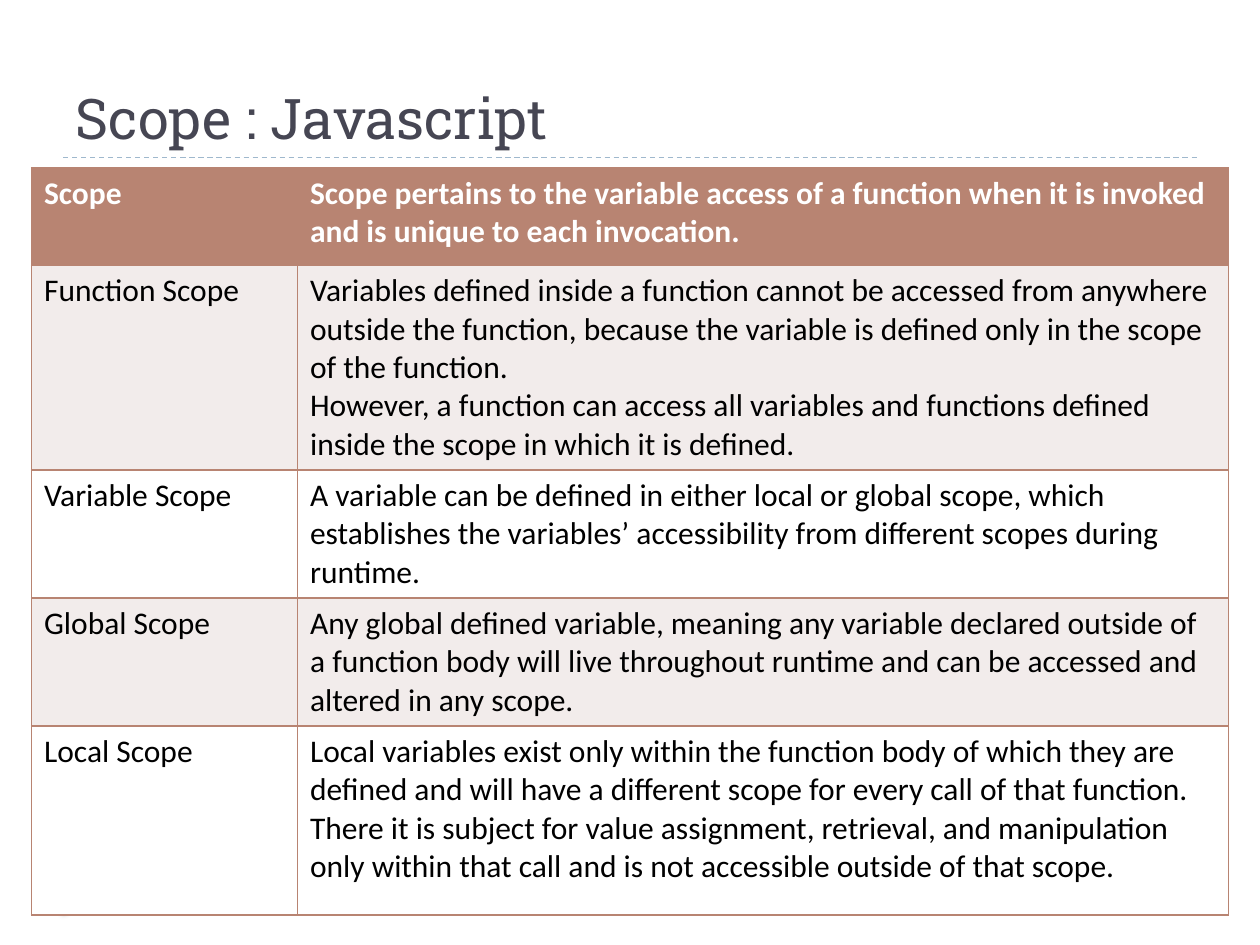
from lxml import etree
from pptx import Presentation
from pptx.dml.color import RGBColor
from pptx.enum.dml import MSO_LINE
from pptx.enum.shapes import MSO_CONNECTOR, MSO_SHAPE
from pptx.enum.text import MSO_ANCHOR, MSO_AUTO_SIZE, PP_ALIGN
from pptx.oxml.ns import qn
from pptx.util import Pt

LEFT, BASE, NONE = PP_ALIGN.LEFT, MSO_ANCHOR.BOTTOM, MSO_AUTO_SIZE.NONE
DASH, LINE = MSO_LINE.DASH, MSO_CONNECTOR.STRAIGHT
WEDGE = MSO_SHAPE.ISOSCELES_TRIANGLE

HUES = {"title": "464653", "rule": "9FB8CD", "head": "B88472",
        "band": "F2ECEB", "plain": "FFFFFF", "text": "000000"}
ROWS = [
    ("Scope", "Scope pertains to the variable access of a function when it is "
     "invoked and is unique to each invocation."),
    ("Function Scope", "Variables defined inside a function cannot be accessed from "
     "anywhere outside the function, because the variable is defined only in the "
     "scope of the function.\nHowever, a function can access all variables and "
     "functions defined inside the scope in which it is defined."),
    ("Variable Scope", "A variable can be defined in either local or global scope, "
     "which establishes the variables’ accessibility from different scopes during "
     "runtime."),
    ("Global Scope", "Any global defined variable, meaning any variable declared "
     "outside of a function body will live throughout runtime and can be accessed "
     "and altered in any scope."),
    ("Local Scope", "Local variables exist only within the function body of which "
     "they are defined and will have a different scope for every call of that "
     "function. There it is subject for value assignment, retrieval, and "
     "manipulation only within that call and is not accessible outside of that "
     "scope."),
]
WIDTHS = [152, 532]
HEIGHTS = [55.6, 108, 67.6, 67.6, 108]


def style(font, hue, form):
    font.color.rgb = RGBColor.from_string(HUES[hue])
    for key, val in form.items():
        setattr(font, key, val)


def edge(cell):
    props = cell._tc.get_or_add_tcPr()
    for spot, side in enumerate(("lnL", "lnR", "lnT", "lnB")):
        line = etree.Element(qn(f"a:{side}"), w=str(Pt(0.96)))
        fill = etree.SubElement(line, qn("a:solidFill"))
        etree.SubElement(fill, qn("a:srgbClr"), val=HUES["head"])
        props.insert(spot, line)


deck = Presentation()
deck.slide_width, deck.slide_height = Pt(720), Pt(540)
slide = deck.slides.add_slide(deck.slide_layouts[5])

for y in (500.4, 90):
    rule = slide.shapes.add_connector(LINE, Pt(36), Pt(y), Pt(684), Pt(y))
    rule.line.color.rgb = RGBColor.from_string(HUES["rule"])
    rule.line.width = Pt(0.75)
    rule.line.dash_style = DASH
    etree.SubElement(rule._element.spPr, qn("a:effectLst"))

mark = slide.shapes.add_shape(WEDGE, Pt(33.1), Pt(509), Pt(15), Pt(9.5))
mark.rotation = 90
mark.fill.solid()
mark.fill.fore_color.rgb = RGBColor.from_string(HUES["rule"])
mark.line.fill.background()
mark.shadow.inherit = False
glow = etree.SubElement(mark._element.spPr.find(qn("a:effectLst")),
                        qn("a:outerShdw"), blurRad=str(Pt(3)), dist=str(Pt(2)),
                        dir="5400000", rotWithShape="0")
tint = etree.SubElement(glow, qn("a:srgbClr"), val=HUES["text"])
etree.SubElement(tint, qn("a:alpha"), val="40000")

title = slide.shapes.title
title.left, title.top, title.width, title.height = Pt(36), Pt(12), Pt(648), Pt(78)
frame = title.text_frame
frame.text = "Scope : Javascript"
frame.auto_size, frame.vertical_anchor = NONE, BASE
frame.paragraphs[0].alignment = LEFT
style(frame.paragraphs[0].runs[0].font, "title",
      {"name": "Roboto Slab", "size": Pt(32)})

table = slide.shapes.add_table(len(ROWS), len(WIDTHS), Pt(18), Pt(96),
                               Pt(sum(WIDTHS)), Pt(sum(HEIGHTS))).table
for col, width in zip(table.columns, WIDTHS):
    col.width = Pt(width)
for row, (tall, texts) in enumerate(zip(HEIGHTS, ROWS)):
    table.rows[row].height = Pt(tall)
    head = row == 0
    shade = "head" if head else "band" if row % 2 else "plain"
    for col, text in enumerate(texts):
        cell = table.cell(row, col)
        cell.text = text
        cell.fill.solid()
        cell.fill.fore_color.rgb = RGBColor.from_string(HUES[shade])
        edge(cell)
        for para in cell.text_frame.paragraphs:
            style(para.runs[0].font, "plain" if head else "text",
                  {"name": "Calibri", "size": Pt(18), "bold": head})

deck.save("out.pptx")
